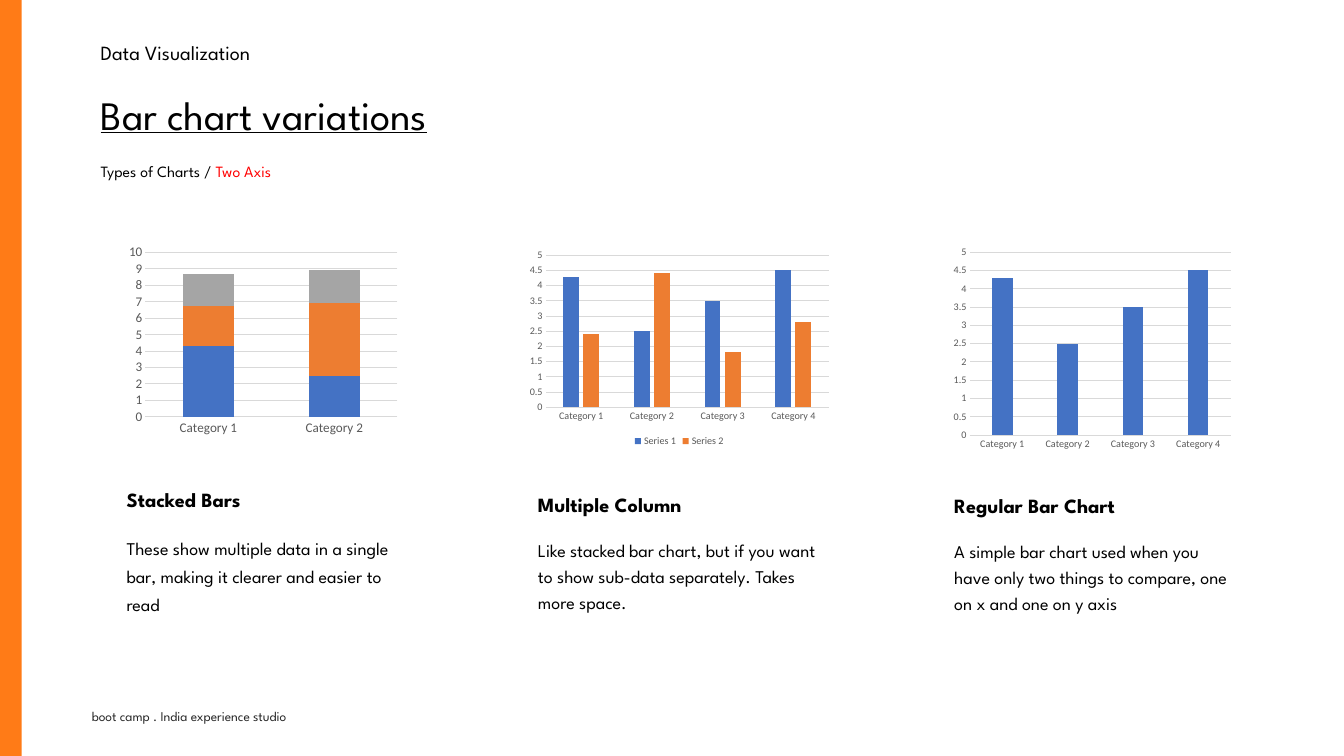
import pptx
import pptx.chart.data
import pptx.dml.color
import pptx.enum.chart
import pptx.enum.shapes
import pptx.enum.text
import pptx.oxml
import pptx.oxml.ns
import pptx.util

Inches = pptx.util.Inches
Pt = pptx.util.Pt
XL = pptx.enum.chart

FONT = "League Spartan"
SERIES_COLORS = ["4472C4", "ED7D31", "A5A5A5"]
FIRST = [4.3, 2.5, 3.5, 4.5]
SECOND = [2.4, 4.4, 1.8, 2.8]

# Boxes are left, top, width, height, measured from the card's top left corner
CARDS = [
    dict(title="Stacked Bars", title_box=(0.32, 3.31, 1.88, 0.42),
         text="These show multiple data in a single bar, making it clearer and easier to read",
         text_box=(0.32, 3.94, 3.8, 1.16), spacing=1.3,
         chart_box=(0.45, 0.26, 3.33, 2.55), kind=XL.XL_CHART_TYPE.COLUMN_STACKED,
         values=[FIRST[:2], SECOND[:2], [2, 2]], size=12, gap=150, overlap=100,
         top=10, step=1, legend=False, plot_area=(0.04, 0.11, 0.96, 0.81)),
    dict(title="Multiple Column", title_box=(0.32, 3.37, 2.4, 0.42),
         text="Like stacked bar chart, but if you want to show sub-data separately. Takes more space.",
         text_box=(0.32, 4, 3.68, 1.1), spacing=1.2,
         chart_box=(0.24, 0.45, 3.86, 2.54), kind=XL.XL_CHART_TYPE.COLUMN_CLUSTERED,
         values=[FIRST, SECOND], size=9, gap=219, overlap=-27,
         top=5, step=0.5, legend=True, plot_area=None),
    dict(title="Regular Bar Chart", title_box=(0.38, 3.38, 2.4, 0.42),
         text="A simple bar chart used when you have only two things to compare, one on x and one on y axis",
         text_box=(0.38, 4.01, 3.68, 1.1), spacing=1.2,
         chart_box=(0.4, 0.41, 3.58, 2.63), kind=XL.XL_CHART_TYPE.COLUMN_CLUSTERED,
         values=[FIRST], size=9, gap=219, overlap=-27,
         top=5, step=0.5, legend=False, plot_area=None),
]


def color(hex_string):
    return pptx.dml.color.RGBColor.from_string(hex_string)


def add_rect(s, box, fill):
    sp = s.shapes.add_shape(pptx.enum.shapes.MSO_SHAPE.RECTANGLE, *map(Inches, box))
    sp.shadow.inherit = False
    sp.fill.solid()
    sp.fill.fore_color.rgb = color(fill)
    sp.line.fill.background()


def add_text(s, box, text, size, spacing=1.0, fill="000000", bold=False):
    tf = s.shapes.add_textbox(*map(Inches, box)).text_frame
    tf.word_wrap = True
    p = tf.paragraphs[0]
    p.line_spacing = spacing
    p.font.name = FONT
    p.font.size = Pt(size)
    p.font.bold = bold
    p.font.color.rgb = color(fill)
    p.add_run().text = text
    return tf


def style_font(font, size):
    font.name = "Calibri"
    font.size = Pt(size)
    font.color.rgb = color("595959")


def style_axis(axis, size):
    axis.major_tick_mark = axis.minor_tick_mark = XL.XL_TICK_MARK.NONE
    style_font(axis.tick_labels.font, size)


def style_line(line):
    line.color.rgb = color("D9D9D9")
    line.width = Pt(0.75)


def set_plot_area(chart, fractions):
    parts = "".join(f'<c:{name} val="{value}"/>' for name, value in zip("xywh", fractions))
    layout = pptx.oxml.parse_xml(
        f'<c:layout {pptx.oxml.ns.nsdecls("c")}><c:manualLayout><c:layoutTarget val="inner"/>'
        f'<c:xMode val="edge"/><c:yMode val="edge"/>{parts}</c:manualLayout></c:layout>')
    area = chart.plots[0]._element.getparent()
    for old in area.findall(pptx.oxml.ns.qn("c:layout")):
        area.remove(old)
    area.insert(0, layout)


def add_bar_chart(s, box, card):
    data = pptx.chart.data.CategoryChartData()
    data.categories = [f"Category {i + 1}" for i in range(len(card["values"][0]))]
    for i, values in enumerate(card["values"], 1):
        data.add_series(f"Series {i}", values)
    chart = s.shapes.add_chart(card["kind"], *map(Inches, box), data).chart
    style_font(chart.font, card["size"])
    chart.has_title = False

    # Bars
    plot = chart.plots[0]
    plot.gap_width = card["gap"]
    plot.overlap = card["overlap"]
    plot.vary_by_categories = False
    for series, fill in zip(plot.series, SERIES_COLORS):
        series.format.fill.solid()
        series.format.fill.fore_color.rgb = color(fill)

    # Axes
    style_axis(chart.category_axis, card["size"])
    style_line(chart.category_axis.format.line)
    axis = chart.value_axis
    style_axis(axis, card["size"])
    axis.format.line.fill.background()
    axis.minimum_scale = 0
    axis.maximum_scale = card["top"]
    axis.major_unit = card["step"]
    style_line(axis.major_gridlines.format.line)

    # Legend and plot area
    chart.has_legend = card["legend"]
    if card["legend"]:
        chart.legend.position = XL.XL_LEGEND_POSITION.BOTTOM
        chart.legend.include_in_layout = False
        style_font(chart.legend.font, card["size"])
    if card["plot_area"]:
        set_plot_area(chart, card["plot_area"])


def add_card(s, box, card):
    def place(part):
        left, top, width, height = card[part]
        return box[0] + left, box[1] + top, width, height

    add_rect(s, box, "FFFFFF")
    add_bar_chart(s, place("chart_box"), card)
    add_text(s, place("title_box"), card["title"], 18, 1.3, bold=True)
    add_text(s, place("text_box"), card["text"], 16, card["spacing"])


def add_heading(s, box):
    left, top, width, height = box
    add_text(s, (left, top, 6.28, 0.32), "Data Visualization", 18, 0.9)
    tf = add_text(s, (left, top + 0.42, width, 1.1), "Bar chart variations", 36, 0.9)
    tf.vertical_anchor = pptx.enum.text.MSO_ANCHOR.MIDDLE
    tf.paragraphs[0].font.underline = True
    # Underline is set on the run too, so that every viewer draws it
    tf.paragraphs[0].runs[0].font.underline = True
    tf = add_text(s, (left, top + height - 0.32, 6.28, 0.32), "Types of Charts / ", 14, 0.9)
    r = tf.paragraphs[0].add_run()
    r.text = "Two Axis"
    r.font.color.rgb = color("FF0000")


def add_frame(s, box):
    left, top, width, height = box
    add_rect(s, (left, top, 0.27, height), "FF7B17")
    add_text(s, (left + 1.04, top + height - 0.64, 8.34, 0.3),
             "boot camp . India experience studio", 12, fill="262626")


def main():
    prs = pptx.Presentation()
    prs.slide_width, prs.slide_height = Inches(16.66), Inches(9.37)
    s = prs.slides.add_slide(prs.slide_layouts[6])
    add_frame(s, (0, 0, 16.66, 9.37))
    add_heading(s, (1.15, 0.48, 14.37, 1.82))
    for i, card in enumerate(CARDS):
        add_card(s, (1.15 + 5.1 * i, 2.59, 4.37, 5.41), card)
    prs.save("out.pptx")


if __name__ == "__main__":
    main()
